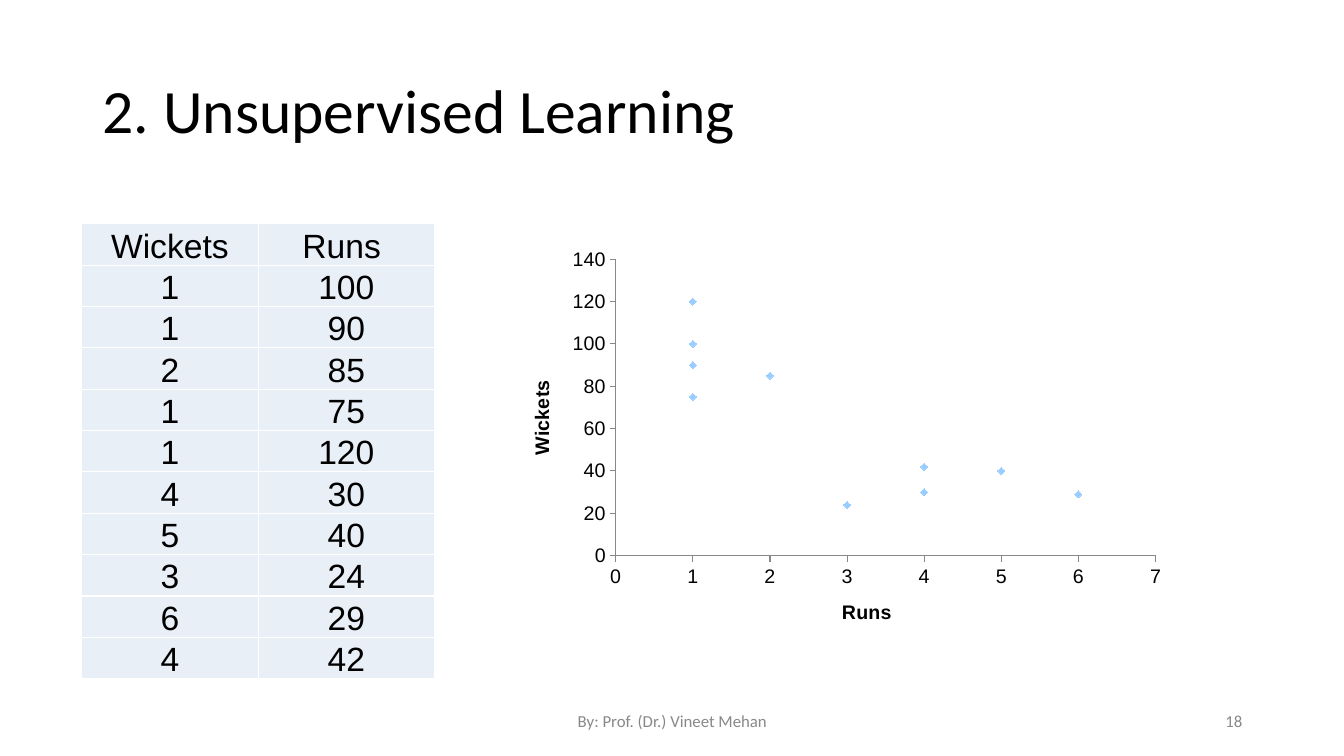
from dataclasses import dataclass

from lxml.etree import SubElement
from pptx import Presentation
from pptx.chart.data import XyChartData
from pptx.dml.color import RGBColor
from pptx.enum.chart import XL_CHART_TYPE as ChartType
from pptx.enum.chart import XL_MARKER_STYLE as MarkerStyle
from pptx.enum.chart import XL_TICK_LABEL_POSITION as LabelPosition
from pptx.enum.chart import XL_TICK_MARK as TickMark
from pptx.enum.text import MSO_ANCHOR as Anchor
from pptx.enum.text import PP_ALIGN as Align
from pptx.oxml.ns import qn
from pptx.slide import Slide
from pptx.util import Emu, Pt

EMU_PER_PX = 9144  # 100 px to the inch

BLACK, GREY, WHITE = "000000", "888888", "FFFFFF"
CELL_FILL, MARKER = "E9EFF7", "99CCFF"

HEADERS = ("Wickets", "Runs ")
BOWLING = [(1, 100), (1, 90), (2, 85), (1, 75), (1, 120),
           (4, 30), (5, 40), (3, 24), (6, 29), (4, 42)]


@dataclass(frozen=True)
class Box:
    left: int
    top: int
    width: int
    height: int

    def emu(self) -> tuple[Emu, ...]:
        return tuple(map(px, (self.left, self.top, self.width, self.height)))


@dataclass(frozen=True)
class Label:
    text: str
    box: Box
    size: int
    color: str
    align: Align
    line_spacing: float = 1.0


@dataclass(frozen=True)
class AxisStyle:
    title: str
    maximum: int
    step: int


LABELS = [
    Label("2. Unsupervised Learning", Box(92, 40, 1150, 145), 44, BLACK, Align.LEFT, 0.9),
    Label("By: Prof. (Dr.) Vineet Mehan", Box(442, 695, 450, 40), 12, GREY, Align.CENTER),
    Label("18", Box(942, 695, 300, 40), 12, GREY, Align.RIGHT),
]
TABLE_LEFT, TABLE_TOP = 81, 222
COLUMN_WIDTH, ROW_HEIGHT = 175, 38
CHART_BOX = Box(505, 237, 661, 403)
PLOT_LAYOUT = {"x": 0.16, "y": 0.05, "w": 0.81, "h": 0.73}
X_AXIS = AxisStyle("Runs", 7, 1)
Y_AXIS = AxisStyle("Wickets", 140, 20)


def px(length: int) -> Emu:
    return Emu(length * EMU_PER_PX)


def rgb(color: str) -> RGBColor:
    return RGBColor.from_string(color)


def style_font(font, name: str, size: int, color: str, bold: bool = False) -> None:
    font.name, font.size, font.bold = name, Pt(size), bold
    font.color.rgb = rgb(color)


def add_label(slide: Slide, label: Label) -> None:
    frame = slide.shapes.add_textbox(*label.box.emu()).text_frame
    frame.word_wrap = True
    frame.vertical_anchor = Anchor.MIDDLE
    paragraph = frame.paragraphs[0]
    paragraph.text = label.text
    paragraph.alignment = label.align
    paragraph.line_spacing = label.line_spacing
    style_font(paragraph.font, "Calibri", label.size, label.color)


def add_cell_borders(cell, color: str) -> None:
    """Put a 1 pt line on each side, ahead of the fill as the schema wants."""
    properties = cell._tc.get_or_add_tcPr()
    for index, side in enumerate(("a:lnL", "a:lnR", "a:lnT", "a:lnB")):
        line = SubElement(properties, qn(side), w=str(Pt(1)))
        fill = SubElement(line, qn("a:solidFill"))
        SubElement(fill, qn("a:srgbClr"), val=color)
        properties.insert(index, line)


def add_score_table(slide: Slide) -> None:
    rows = [HEADERS, *BOWLING]
    box = Box(TABLE_LEFT, TABLE_TOP, COLUMN_WIDTH * len(HEADERS), ROW_HEIGHT * len(rows))
    table = slide.shapes.add_table(len(rows), len(HEADERS), *box.emu()).table
    table.first_row = table.horz_banding = False
    for row_index, row in enumerate(rows):
        for column_index, value in enumerate(row):
            cell = table.cell(row_index, column_index)
            cell.margin_left = cell.margin_right = cell.margin_top = px(1)
            cell.margin_bottom = 0
            cell.vertical_anchor = Anchor.BOTTOM
            cell.fill.solid()
            cell.fill.fore_color.rgb = rgb(CELL_FILL)
            add_cell_borders(cell, WHITE)
            paragraph = cell.text_frame.paragraphs[0]
            paragraph.text = str(value)
            paragraph.alignment = Align.CENTER
            style_font(paragraph.font, "Arial", 24, BLACK)


def style_axis(axis, style: AxisStyle) -> None:
    axis.minimum_scale, axis.maximum_scale = 0, style.maximum
    axis.major_unit = style.step
    axis.has_major_gridlines = False
    axis.major_tick_mark, axis.minor_tick_mark = TickMark.OUTSIDE, TickMark.NONE
    axis.tick_label_position = LabelPosition.NEXT_TO_AXIS
    axis.format.line.color.rgb = rgb(GREY)
    axis.format.line.width = Pt(0.75)
    paragraph = axis.axis_title.text_frame.paragraphs[0]
    paragraph.text = style.title
    style_font(paragraph.font, "Arial", 14, BLACK, bold=True)


def set_plot_layout(chart) -> None:
    """Fix the inner plot area as fractions of the chart."""
    plot_area = chart._chartSpace.chart.plotArea
    layout = plot_area.find(qn("c:layout"))
    if layout is None:
        layout = SubElement(plot_area, qn("c:layout"))
        plot_area.insert(0, layout)
    manual = SubElement(layout, qn("c:manualLayout"))
    settings = {"layoutTarget": "inner", "xMode": "edge", "yMode": "edge", **PLOT_LAYOUT}
    for tag, value in settings.items():
        SubElement(manual, qn(f"c:{tag}"), val=str(value))


def add_scatter_chart(slide: Slide) -> None:
    data = XyChartData()
    points = data.add_series("Series 1")
    for wickets, runs in BOWLING:
        points.add_data_point(wickets, runs)
    chart = slide.shapes.add_chart(ChartType.XY_SCATTER, *CHART_BOX.emu(), data).chart
    chart.has_title = chart.has_legend = False
    style_font(chart.font, "Arial", 14, BLACK)
    chart.plots[0].vary_by_categories = False
    series = chart.plots[0].series[0]
    series.format.line.fill.background()
    series.marker.style, series.marker.size = MarkerStyle.DIAMOND, 5
    series.marker.format.fill.solid()
    series.marker.format.fill.fore_color.rgb = rgb(MARKER)
    series.marker.format.line.color.rgb = rgb(MARKER)
    style_axis(chart.category_axis, X_AXIS)
    style_axis(chart.value_axis, Y_AXIS)
    set_plot_layout(chart)


def main() -> None:
    presentation = Presentation()
    presentation.slide_width, presentation.slide_height = px(1333), px(750)
    slide = presentation.slides.add_slide(presentation.slide_layouts[6])
    for label in LABELS:
        add_label(slide, label)
    add_score_table(slide)
    add_scatter_chart(slide)
    presentation.save("out.pptx")


if __name__ == "__main__":
    main()
